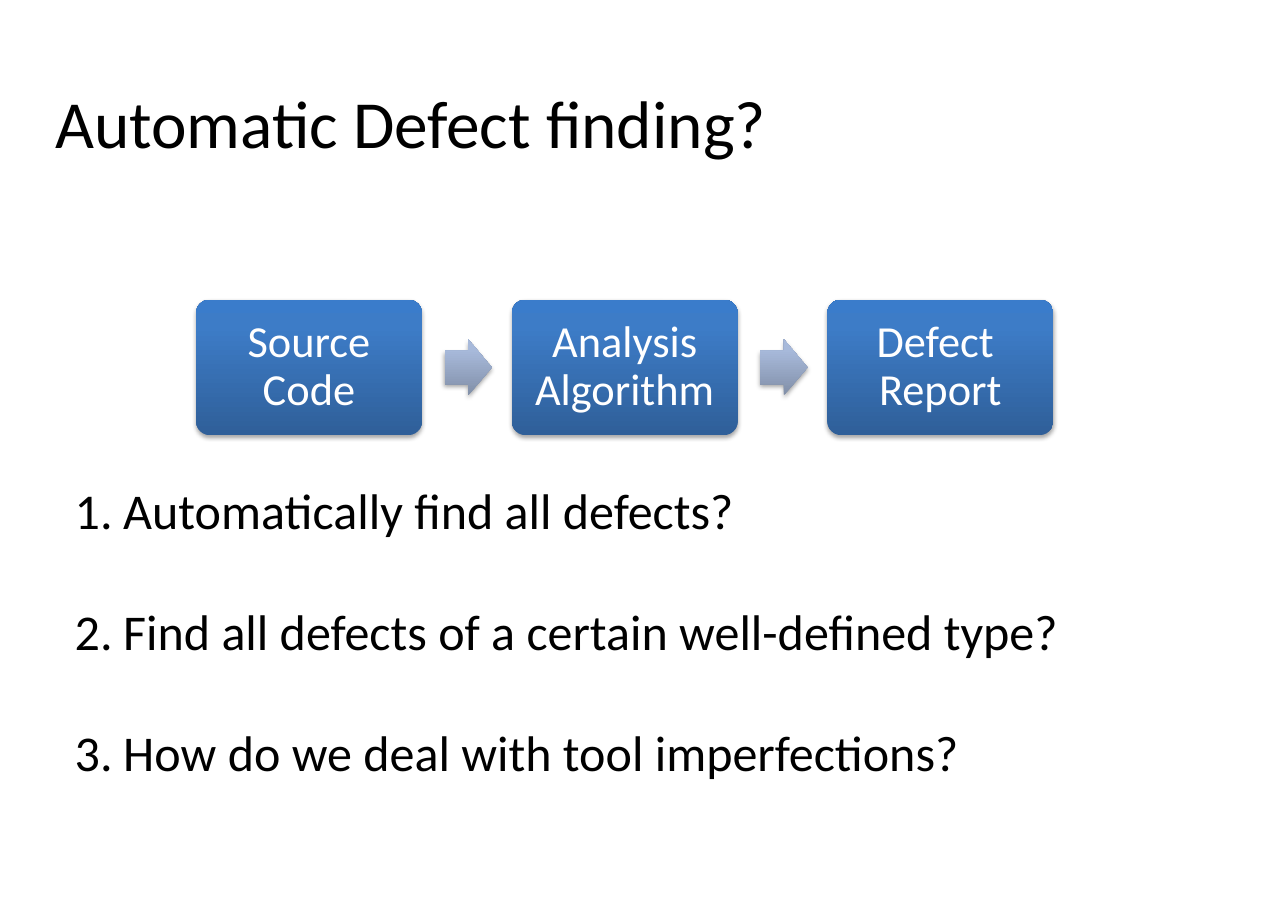
from lxml import etree
from pptx import Presentation
from pptx.dml.color import RGBColor
from pptx.enum.shapes import MSO_SHAPE
from pptx.enum.text import MSO_ANCHOR, MSO_AUTO_SIZE, PP_ALIGN
from pptx.oxml.ns import qn
from pptx.util import Inches, Pt

ROUNDED, ARROW = MSO_SHAPE.ROUNDED_RECTANGLE, MSO_SHAPE.RIGHT_ARROW
TOP, MIDDLE = MSO_ANCHOR.TOP, MSO_ANCHOR.MIDDLE
LEFT, CENTER = PP_ALIGN.LEFT, PP_ALIGN.CENTER
FIT_SHAPE, NO_FIT = MSO_AUTO_SIZE.SHAPE_TO_FIT_TEXT, MSO_AUTO_SIZE.NONE

BLACK = RGBColor(0x00, 0x00, 0x00)
WHITE = RGBColor(0xFF, 0xFF, 0xFF)
# Gradient stops: (position in percent, colour)
STEP_STOPS = [(0, RGBColor(0x2F, 0x5F, 0x99)),
              (80, RGBColor(0x3D, 0x7C, 0xC7)),
              (100, RGBColor(0x3A, 0x7C, 0xCB))]
ARROW_STOPS = [(0, RGBColor(0x81, 0x8F, 0xA8)),
               (80, RGBColor(0xA7, 0xB9, 0xDA)),
               (100, RGBColor(0xA7, 0xBA, 0xDC))]

FONT = "Calibri"
STEPS = [["Source Code"], ["Analysis Algorithm"], ["Defect ", "Report"]]
QUESTIONS = ["Automatically find all defects?",
             "Find all defects of a certain well-defined type?",
             "How do we deal with tool imperfections?"]


def add_span(para, text, size, color):
    span = para.add_run()
    span.text = text
    span.font.name = FONT
    span.font.size = Pt(size)
    span.font.color.rgb = color


def set_insets(frame, inset):
    frame.margin_left = frame.margin_right = Inches(inset)
    frame.margin_top = frame.margin_bottom = Inches(inset)


def add_glossy_shape(page, kind, box, adjustments, stops):
    """Draw a preset shape with an upward gradient and a soft shadow below."""
    shape = page.shapes.add_shape(kind, *map(Inches, box))
    for index, value in enumerate(adjustments):
        shape.adjustments[index] = value
    shape.line.fill.background()

    # Gradient
    shape.fill.gradient()
    shape.fill.gradient_angle = 90
    properties = shape._element.spPr
    stop_list = properties.find(".//" + qn("a:gsLst"))
    for old_stop in list(stop_list):
        stop_list.remove(old_stop)
    for position, color in stops:
        stop = etree.SubElement(stop_list, qn("a:gs"), pos=str(position * 1000))
        etree.SubElement(stop, qn("a:srgbClr"), val=str(color))

    # Shadow
    shape.shadow.inherit = False
    effects = properties.find(qn("a:effectLst"))
    shadow = etree.SubElement(effects, qn("a:outerShdw"), blurRad=str(Pt(3.1)),
                              dist=str(Pt(1.8)), dir="5400000", rotWithShape="0")
    shade = etree.SubElement(shadow, qn("a:srgbClr"), val=str(BLACK))
    etree.SubElement(shade, qn("a:alpha"), val="35000")
    return shape


def add_title(page, box, text):
    title = page.shapes.title
    title.left, title.top, title.width, title.height = map(Inches, box)
    frame = title.text_frame
    frame.auto_size = NO_FIT
    frame.vertical_anchor = TOP
    set_insets(frame, 0.1)
    para = frame.paragraphs[0]
    para.alignment = LEFT
    para.line_spacing = 0.9
    add_span(para, text, 44, BLACK)


def add_step(page, box, lines):
    step = add_glossy_shape(page, ROUNDED, box, [0.1], STEP_STOPS)
    frame = step.text_frame
    frame.word_wrap = True
    frame.vertical_anchor = MIDDLE
    set_insets(frame, 0.12)
    para = frame.paragraphs[0]
    para.alignment = CENTER
    para.line_spacing = 0.9
    for number, line in enumerate(lines):
        if number:
            para.add_line_break()
        add_span(para, line, 29, WHITE)


def add_process(page, box, steps):
    """Spread equal steps over the box, with an arrow in each gap."""
    left, top, width, height = box
    step_width, arrow_width, arrow_height = 2.05, 0.43, 0.51
    pitch = (width - step_width) / (len(steps) - 1)
    for index, lines in enumerate(steps):
        x = left + index * pitch
        if index:
            arrow_box = (x - 0.61, top + (height - arrow_height) / 2,
                         arrow_width, arrow_height)
            add_glossy_shape(page, ARROW, arrow_box, [0.6, 0.5], ARROW_STOPS)
        add_step(page, (x, top, step_width, height), lines)


def add_questions(page, box, questions):
    frame = page.shapes.add_textbox(*map(Inches, box)).text_frame
    frame.word_wrap = True
    frame.auto_size = FIT_SHAPE
    for index, question in enumerate(questions):
        para = frame.add_paragraph() if index else frame.paragraphs[0]
        if index:
            para.space_before = Pt(40)
        properties = para._p.get_or_add_pPr()
        properties.set("marL", str(Inches(0.44)))
        properties.set("indent", str(Inches(-0.44)))
        etree.SubElement(properties, qn("a:buFont"), typeface=FONT)
        etree.SubElement(properties, qn("a:buAutoNum"), type="arabicPeriod")
        add_span(para, question, 32.7, BLACK)


def main():
    deck = Presentation()
    deck.slide_width, deck.slide_height = Inches(11.69), Inches(8.26)
    page = deck.slides.add_slide(deck.slide_layouts[5])
    add_title(page, (0.4, 0.72, 10.9, 0.92), "Automatic Defect finding?")
    add_process(page, (1.78, 2.72, 7.78, 1.23), STEPS)
    add_questions(page, (0.58, 4.3, 10.17, 2.86), QUESTIONS)
    deck.save("out.pptx")


if __name__ == "__main__":
    main()
